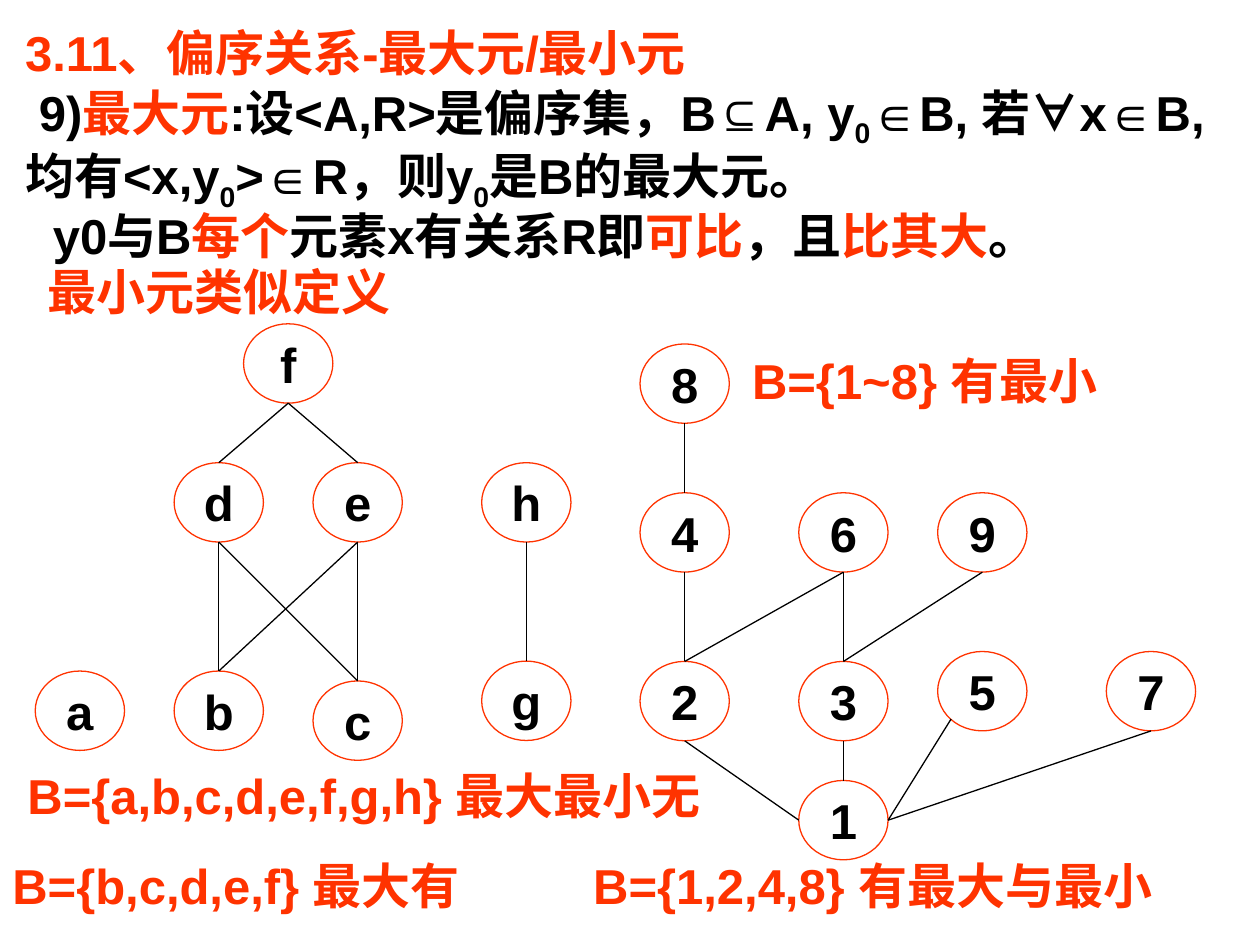
from lxml import etree
from pptx import Presentation, util as u
from pptx.dml.color import RGBColor
from pptx.enum import shapes, text
from pptx.oxml import ns

RED = RGBColor(0xFF, 0x33, 0x00)
BLACK = RGBColor(0x00, 0x00, 0x00)
FONT, SIZE = "Arial", u.Pt(28)
SLIDE_WIDTH, SLIDE_HEIGHT = u.Inches(10), u.Inches(7.5)

# Diagrams sit on a 2 mm grid; a node covers 9 columns by 8 rows
CELL = u.Mm(2)
NODE_COLUMNS, NODE_ROWS = 9, 8

# Points on a node's outline, as shares of its width and height
SITES = {
    "top": (0.5, 0), "bottom": (0.5, 1), "left": (0, 0.5),
    "right": (1, 0.5), "bottom left": (0.15, 0.85),
}

# Node positions as (column, row) from the diagram's origin
LETTERS = {
    "a": (0, 35), "b": (14, 35), "c": (28, 36), "g": (45, 34),
    "d": (14, 14), "f": (21, 0), "e": (28, 14), "h": (45, 14),
}
NUMBERS = {
    "1": (16, 44), "2": (0, 32), "3": (16, 32), "5": (30, 31), "7": (47, 31),
    "4": (0, 15), "8": (0, 0), "6": (16, 15), "9": (30, 15),
}

# Edges as lower node, upper node and, where unusual, their sites
LETTER_EDGES = [("b", "d"), ("c", "e"), ("c", "d"), ("b", "e"),
                ("d", "f"), ("e", "f"), ("g", "h")]
NUMBER_EDGES = [
    ("1", "2", "left"), ("1", "7", "right"), ("1", "5", "right", "bottom left"),
    ("1", "3"), ("2", "4"), ("4", "8"), ("3", "6"), ("3", "9"), ("2", "6"),
]

# Each paragraph: first-line indent in inches, then (text, colour, is subscript)
DEFINITION = [
    (0, [("3.11、偏序关系-最大元/最小元", RED, False)]),
    (0.11, [
        ("9)", BLACK, False), ("最大元", RED, False),
        (":设<A,R>是偏序集，B⊆A, y", BLACK, False), ("0", BLACK, True),
        ("∈B, 若∀x∈B,均有<x,y", BLACK, False), ("0", BLACK, True),
        (">∈R，则y", BLACK, False), ("0", BLACK, True),
        ("是B的最大元。", BLACK, False),
    ]),
    (0.22, [
        ("y0与B", BLACK, False), ("每个", RED, False),
        ("元素x有关系R即", BLACK, False), ("可比", RED, False),
        ("，且", BLACK, False), ("比其大", RED, False), ("。", BLACK, False),
    ]),
    (0.18, [("最小元类似定义", RED, False)]),
]

# Captions: left, top, width, height in percent of the slide
CAPTIONS = [
    ("B={a,b,c,d,e,f,g,h} 最大最小无", (1.2, 80.4, 56.7, 7.6)),
    ("B={1~8} 有最小", (58.7, 36.4, 29.9, 13.9)),
    ("B={1,2,4,8} 有最大与最小", (46.1, 89.9, 52, 7.6)),
    ("B={b,c,d,e,f} 最大有", (0, 89.9, 39.8, 7.6)),
]


def add_run(paragraph, content, colour, subscript=False):
    run = paragraph.add_run()
    run.text = content
    run.font.name, run.font.size, run.font.bold = FONT, SIZE, True
    run.font.color.rgb = colour
    if subscript:
        run.font._element.set("baseline", "-25000")


def add_text_box(slide, percents):
    left, top, width, height = percents
    box = slide.shapes.add_textbox(
        int(SLIDE_WIDTH * left / 100), int(SLIDE_HEIGHT * top / 100),
        int(SLIDE_WIDTH * width / 100), int(SLIDE_HEIGHT * height / 100))
    box.text_frame.word_wrap = True
    return box.text_frame


def add_definition(slide):
    frame = add_text_box(slide, (2, 2.8, 95.3, 33.6))
    frame.margin_left = frame.margin_right = 0
    frame.margin_top = frame.margin_bottom = 0
    for index, (indent, runs) in enumerate(DEFINITION):
        paragraph = frame.add_paragraph() if index else frame.paragraphs[0]
        paragraph.line_spacing = 0.95
        paragraph._p.get_or_add_pPr().set("indent", str(u.Inches(indent)))
        for content, colour, subscript in runs:
            add_run(paragraph, content, colour, subscript)


def add_caption(slide, content, percents):
    frame = add_text_box(slide, percents)
    frame.auto_size = text.MSO_AUTO_SIZE.SHAPE_TO_FIT_TEXT
    add_run(frame.paragraphs[0], content, RED)


def add_node(group, label, left, top):
    node = group.shapes.add_shape(shapes.MSO_SHAPE.OVAL, left, top,
                                  NODE_COLUMNS * CELL, NODE_ROWS * CELL)
    node.shadow.inherit = False
    node.fill.background()
    node.line.color.rgb, node.line.width = RED, u.Pt(0.75)
    frame = node.text_frame
    frame.word_wrap = False
    frame.vertical_anchor = text.MSO_ANCHOR.MIDDLE
    paragraph = frame.paragraphs[0]
    paragraph.alignment = text.PP_ALIGN.CENTER
    add_run(paragraph, label, BLACK)
    return node


def site_point(node, site):
    across, down = SITES[site]
    return (int(node.left + across * node.width),
            int(node.top + down * node.height))


def add_edge(group, lower, upper, lower_site="top", upper_site="bottom"):
    edge = group.shapes.add_connector(
        shapes.MSO_CONNECTOR.STRAIGHT,
        *site_point(lower, lower_site), *site_point(upper, upper_site))
    edge.line.color.rgb, edge.line.width = BLACK, u.Pt(0.75)
    etree.SubElement(edge._element.spPr, ns.qn("a:effectLst"))


def add_diagram(slide, origin_left, origin_top, positions, edges):
    group = slide.shapes.add_group_shape()
    nodes = {
        label: add_node(group, label, origin_left + column * CELL,
                        origin_top + row * CELL)
        for label, (column, row) in positions.items()
    }
    for lower, upper, *sites in edges:
        add_edge(group, nodes[lower], nodes[upper], *sites)


def main():
    presentation = Presentation()
    presentation.slide_width = SLIDE_WIDTH
    presentation.slide_height = SLIDE_HEIGHT
    slide = presentation.slides.add_slide(presentation.slide_layouts[6])

    # Heading and definition
    add_definition(slide)

    # Hasse diagrams
    add_diagram(slide, u.Inches(0.28), u.Inches(2.57), LETTERS, LETTER_EDGES)
    add_diagram(slide, u.Inches(5.08), u.Inches(2.73), NUMBERS, NUMBER_EDGES)

    # Conclusions for each subset B
    for content, percents in CAPTIONS:
        add_caption(slide, content, percents)

    presentation.save("out.pptx")


if __name__ == "__main__":
    main()
